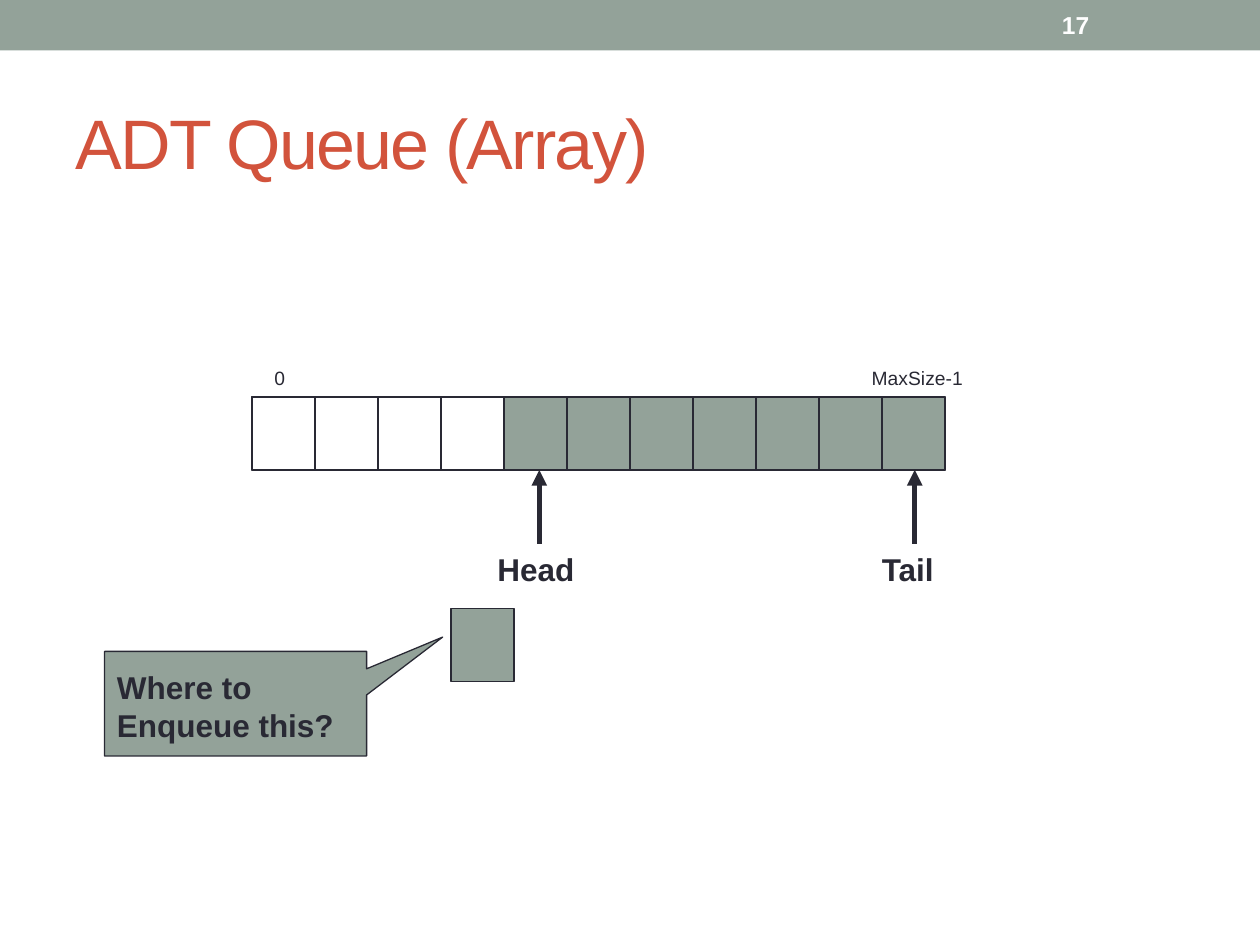
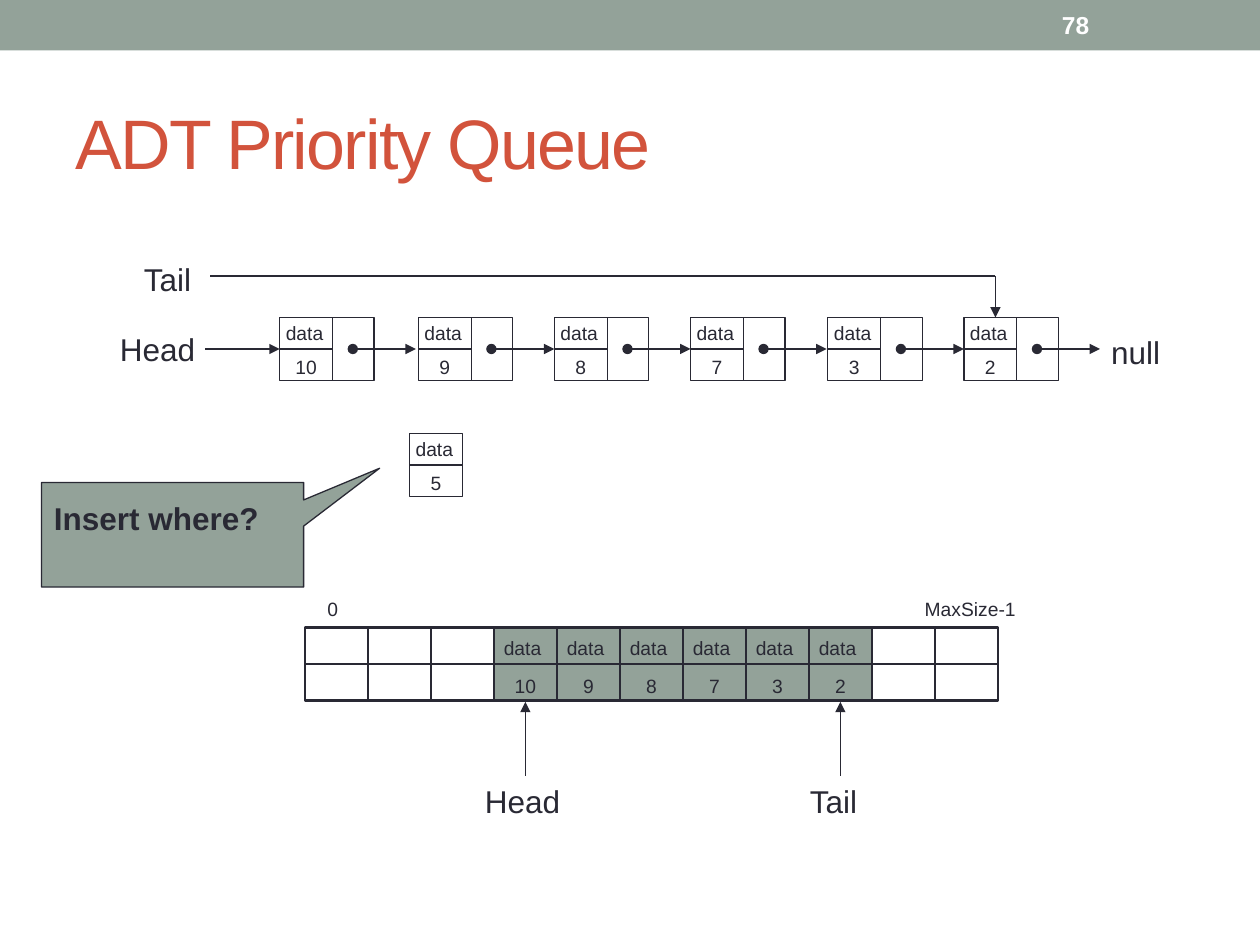
from lxml import etree
from pptx import Presentation
from pptx.dml.color import RGBColor
from pptx.enum.shapes import MSO_CONNECTOR, MSO_SHAPE
from pptx.enum.text import MSO_ANCHOR, MSO_AUTO_SIZE, PP_ALIGN
from pptx.oxml.ns import qn
from pptx.util import Inches, Pt

RECTANGLE = MSO_SHAPE.RECTANGLE
CALLOUT = MSO_SHAPE.RECTANGULAR_CALLOUT
STRAIGHT = MSO_CONNECTOR.STRAIGHT
MIDDLE, TOP = MSO_ANCHOR.MIDDLE, MSO_ANCHOR.TOP
LEFT, CENTER = PP_ALIGN.LEFT, PP_ALIGN.CENTER
FIT, FIXED = MSO_AUTO_SIZE.SHAPE_TO_FIT_TEXT, MSO_AUTO_SIZE.NONE

# Array geometry
CELL_WIDTH, CELL_HEIGHT, CELL_COUNT = 0.5, 0.58, 11
# Linked node geometry
DATA_WIDTH, LINK_WIDTH, NODE_HEIGHT = 0.42, 0.33, 0.5


def color(hex_value):
    return RGBColor.from_string(hex_value)


class Deck:
    FONT = "Arial"
    SAGE, INK, RUST, WHITE = "93A299", "292934", "D2533C", "FFFFFF"
    SMALL, BODY = 11, 18

    def __init__(self):
        self.presentation = Presentation()
        self.presentation.slide_width = Inches(10)
        self.presentation.slide_height = Inches(7.5)
        self.slide = None

    def new_slide(self, title, number):
        """Add a slide with its band, title and number."""
        layout = self.presentation.slide_layouts[6]
        self.slide = self.presentation.slides.add_slide(layout)
        self.box(0, 0, 10, 0.4, fill=self.SAGE, line_width=None)
        heading = self.text(title, 0.5, 0.58, 9, 1.08, size=40, hex_value=self.RUST,
                            anchor=MIDDLE, wrap=True)
        for run in heading.text_frame.paragraphs[0].runs:
            run.font._element.set("spc", "-100")
        self.text(str(number), 8.33, 0.02, 1.17, 0.36, size=14, bold=True,
                  hex_value=self.WHITE, anchor=MIDDLE, wrap=True)

    def text(self, content, left, top, width, height=0.29, size=SMALL, bold=False,
             hex_value=INK, align=LEFT, anchor=TOP, wrap=False):
        shape = self.slide.shapes.add_textbox(
            Inches(left), Inches(top), Inches(width), Inches(height))
        frame = shape.text_frame
        frame.text = content
        frame.word_wrap = wrap
        frame.auto_size = FIT if anchor == TOP else FIXED
        frame.vertical_anchor = anchor
        for paragraph in frame.paragraphs:
            paragraph.alignment = align
            for run in paragraph.runs:
                run.font.name = self.FONT
                run.font.size = Pt(size)
                run.font.bold = bold
                run.font.color.rgb = color(hex_value)
        return shape

    def box(self, left, top, width, height, fill=None, line_width=0.75, kind=RECTANGLE):
        shape = self.slide.shapes.add_shape(
            kind, Inches(left), Inches(top), Inches(width), Inches(height))
        shape.shadow.inherit = False
        if fill:
            shape.fill.solid()
            shape.fill.fore_color.rgb = color(fill)
        else:
            shape.fill.background()
        if line_width:
            shape.line.color.rgb = color(self.INK)
            shape.line.width = Pt(line_width)
        else:
            shape.line.fill.background()
        return shape

    def line(self, start, end, width=0.75, head=None, tail=None):
        connector = self.slide.shapes.add_connector(
            STRAIGHT, *(Inches(value) for value in (*start, *end)))
        connector.line.color.rgb = color(self.INK)
        connector.line.width = Pt(width)
        outline = connector.line._get_or_add_ln()
        for tag, kind in (("a:headEnd", head), ("a:tailEnd", tail)):
            if kind:
                etree.SubElement(outline, qn(tag)).set("type", kind)
        etree.SubElement(connector._element.spPr, qn("a:effectLst"))

    def callout(self, content, left, top, text_height):
        shape = self.box(left, top, 2.08, 0.83, fill=self.SAGE, kind=CALLOUT)
        shape.adjustments[0], shape.adjustments[1] = 0.79, -0.637
        self.text(content, left, top + 0.08, 1.93, text_height,
                  size=self.BODY, bold=True, wrap=True)

    def array(self, left, top, filled, line_width):
        """Draw a row of cells with the index of its first and last one."""
        self.box(left, top, CELL_WIDTH * CELL_COUNT, CELL_HEIGHT)
        for index in range(CELL_COUNT):
            self.box(left + index * CELL_WIDTH, top, CELL_WIDTH, CELL_HEIGHT,
                     fill=self.SAGE if index in filled else None, line_width=line_width)
        self.text("0", left + 0.08, top - 0.29, 0.3)
        self.text("MaxSize-1", left + 4.82, top - 0.29, 1)

    def pointer(self, label, x, top, label_left, label_width, width=0.75, bold=False):
        """Draw an arrow up to a cell, with its name below."""
        self.line((x, top), (x, top + 0.59), width=width, head="triangle")
        self.text(label, label_left, top + 0.59, label_width, 0.4,
                  size=self.BODY, bold=bold)

    def data_box(self, left, top, value):
        middle = top + NODE_HEIGHT / 2
        self.box(left, top, DATA_WIDTH, NODE_HEIGHT)
        self.line((left, middle), (left + DATA_WIDTH, middle))
        self.text("data", left - 0.05, top - 0.02, 0.53)
        self.text(value, left + 0.01, middle, 0.4, align=CENTER)

    def node(self, left, top, value):
        """Draw a data box with a link to the next node."""
        middle = top + NODE_HEIGHT / 2
        self.data_box(left, top, value)
        self.box(left + DATA_WIDTH, top, LINK_WIDTH, NODE_HEIGHT)
        self.line((left + 0.58, middle), (left + 1.08, middle),
                  head="oval", tail="triangle")


deck = Deck()

# Slide 1: queue in an array
deck.new_slide("ADT Queue (Array)", 17)
deck.array(2, 3.15, filled=range(4, 11), line_width=0.75)
deck.pointer("Head", 4.28, 3.73, 3.85, 0.83, width=3, bold=True)
deck.pointer("Tail", 7.26, 3.73, 6.9, 0.68, width=3, bold=True)
deck.box(3.58, 4.83, CELL_WIDTH, CELL_HEIGHT, fill=deck.SAGE)
deck.callout("Where to Enqueue this?", 0.83, 5.17, text_height=0.71)

# Slide 2: priority queue as a linked list and as an array
deck.new_slide("ADT Priority Queue", 78)
values = ["10", "9", "8", "7", "3", "2"]

# Linked list
list_top = 2.52
list_middle = list_top + NODE_HEIGHT / 2
node_lefts = [2.22, 3.32, 4.4, 5.48, 6.57, 7.65]
for node_left, value in zip(node_lefts, values):
    deck.node(node_left, list_top, value)
deck.text("Head", 0.75, 2.56, 1, 0.42, size=deck.BODY, align=CENTER, anchor=MIDDLE)
deck.line((1.63, list_middle), (node_lefts[0], list_middle), tail="triangle")
deck.text("Tail", 0.83, 2, 1, 0.42, size=deck.BODY, align=CENTER, anchor=MIDDLE)
deck.line((1.67, 2.19), (7.9, 2.19))
deck.line((7.9, 2.19), (7.9, list_top), tail="triangle")
deck.text("null", 8.72, 2.59, 0.66, 0.4, size=deck.BODY)

# Element to insert
deck.data_box(3.25, 3.44, "5")
deck.callout("Insert where?", 0.33, 3.83, text_height=0.4)

# Array
array_left, array_top, first = 2.42, 4.98, 3
deck.array(array_left, array_top, filled=range(first, first + len(values)), line_width=1.25)
deck.line((array_left, 5.27), (array_left + CELL_WIDTH * CELL_COUNT, 5.27))
for index, value in enumerate(values, start=first):
    cell_left = array_left + index * CELL_WIDTH
    deck.text("data", cell_left - 0.02, 5, 0.53)
    deck.text(value, cell_left + 0.05, 5.3, 0.4, align=CENTER)
deck.pointer("Head", 4.17, 5.57, 3.75, 0.83)
deck.pointer("Tail", 6.67, 5.57, 6.33, 0.65)

deck.presentation.save("out.pptx")
